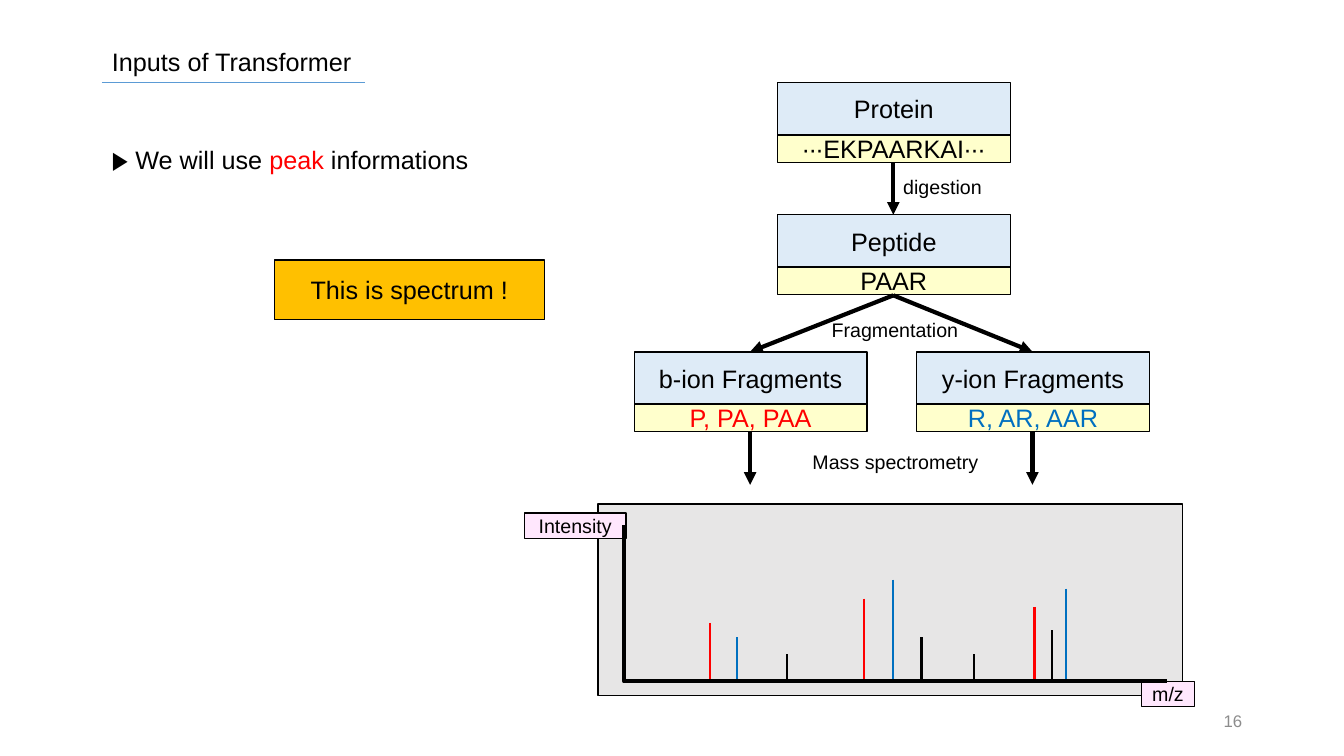
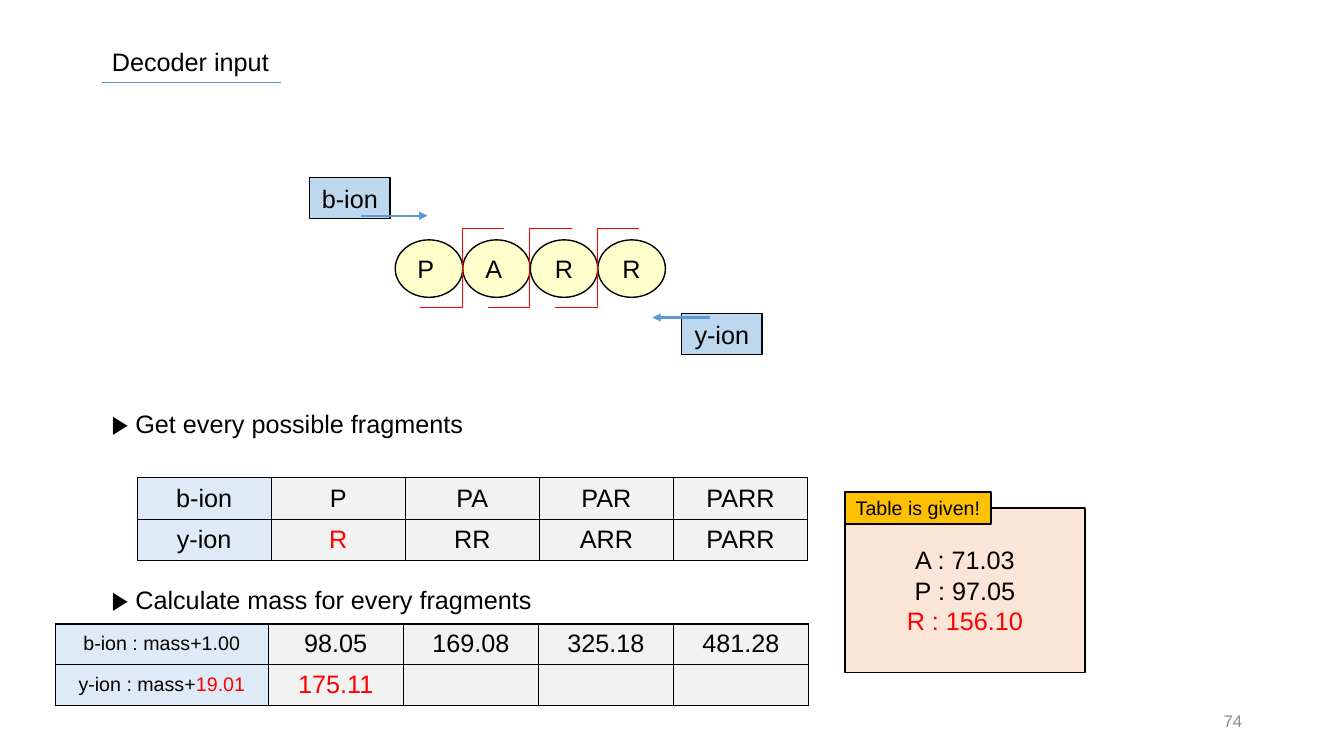
from dataclasses import dataclass

from lxml import etree
from pptx import Presentation
from pptx.dml.color import RGBColor
from pptx.enum.shapes import MSO_CONNECTOR, MSO_SHAPE
from pptx.enum.text import MSO_ANCHOR, MSO_AUTO_SIZE, PP_ALIGN
from pptx.oxml.ns import qn
from pptx.util import Pt

RECTANGLE, OVAL = MSO_SHAPE.RECTANGLE, MSO_SHAPE.OVAL
STRAIGHT, ELBOW = MSO_CONNECTOR.STRAIGHT, MSO_CONNECTOR.ELBOW
TOP, MIDDLE = MSO_ANCHOR.TOP, MSO_ANCHOR.MIDDLE
LEFT, CENTER, RIGHT = PP_ALIGN.LEFT, PP_ALIGN.CENTER, PP_ALIGN.RIGHT
NO_AUTOFIT = MSO_AUTO_SIZE.NONE
EMU_PER_PX = 9144


@dataclass(frozen=True)
class Theme:
    font: str = "Arial"
    body: int = 18
    label: int = 14
    footer: int = 12
    ink: str = "000000"
    red: str = "FF0000"
    blue: str = "0070C0"
    accent: str = "5B9BD5"
    muted: str = "8C8C8C"
    pale_blue: str = "DEEBF7"
    sky: str = "BDD7EE"
    cream: str = "FFFFCC"
    pink: str = "FFE7FD"
    amber: str = "FFC000"
    peach: str = "FBE5D6"
    plot: str = "E7E6E6"
    cell: str = "F2F2F2"


THEME = Theme()


def px(*lengths):
    return [length * EMU_PER_PX for length in lengths]


def apply_format(target, values):
    for name, value in values.items():
        setattr(target, name, value)


def rgb(color):
    return RGBColor.from_string(color)


class Deck:
    def __init__(self, theme):
        self.theme = theme
        self.presentation = Presentation()
        width, height = px(1333, 750)
        apply_format(self.presentation, {"slide_width": width, "slide_height": height})
        self.slide = None

    def new_slide(self, title, rule_end, number):
        layout = self.presentation.slide_layouts[5]
        self.slide = self.presentation.slides.add_slide(layout)
        shape = self.slide.shapes.title
        left, top, width, height = px(101, 41, 569, 40)
        apply_format(shape, {"left": left, "top": top, "width": width, "height": height})
        self.set_text(shape.text_frame, title, align=LEFT, anchor=TOP)
        self.line((101, 82), (rule_end, 82), self.theme.accent, 0.5)
        self.text((942, 695, 300, 40), str(number), self.theme.footer,
                  self.theme.muted, RIGHT, MIDDLE)

    def set_text(self, frame, content, size=None, color=None, align=CENTER, anchor=MIDDLE):
        apply_format(frame, {"word_wrap": True, "auto_size": NO_AUTOFIT,
                             "vertical_anchor": anchor})
        self.fill_paragraphs(frame, content, size, color, align)

    def fill_paragraphs(self, frame, content, size=None, color=None, align=CENTER):
        paragraphs = [[(content, color)]] if isinstance(content, str) else content
        for index, runs in enumerate(paragraphs):
            paragraph = frame.add_paragraph() if index else frame.paragraphs[0]
            paragraph.alignment = align
            for text, run_color in runs:
                run = paragraph.add_run()
                run.text = text
                apply_format(run.font, {"name": self.theme.font,
                                        "size": Pt(size or self.theme.body)})
                run.font.color.rgb = rgb(run_color or self.theme.ink)

    def text(self, box, content, size=None, color=None, align=LEFT, anchor=TOP):
        shape = self.slide.shapes.add_textbox(*px(*box))
        self.set_text(shape.text_frame, content, size, color, align, anchor)

    def box(self, box, fill, content="", size=None, color=None, kind=RECTANGLE):
        shape = self.slide.shapes.add_shape(kind, *px(*box))
        shape.shadow.inherit = False
        shape.fill.solid()
        shape.fill.fore_color.rgb = rgb(fill)
        shape.line.color.rgb = rgb(self.theme.ink)
        shape.line.width = Pt(1)
        if content:
            self.set_text(shape.text_frame, content, size, color)

    def card(self, left, top, heading, sequence, color=None):
        self.box((left, top, 231, 52), self.theme.pale_blue, heading)
        self.box((left, top + 52, 231, 27), self.theme.cream, sequence, color=color)

    def line(self, start, end, color, weight, arrow=False, kind=STRAIGHT, bend=None):
        connector = self.slide.shapes.add_connector(kind, *px(*start, *end))
        connector.line.color.rgb = rgb(color)
        connector.line.width = Pt(weight)
        properties = connector.element.spPr
        if arrow:
            etree.SubElement(properties.find(qn("a:ln")), qn("a:tailEnd"), type="triangle")
        if bend is not None:
            guides = properties.find(qn("a:prstGeom")).find(qn("a:avLst"))
            etree.SubElement(guides, qn("a:gd"), name="adj1", fmla=f"val {bend}")
        etree.SubElement(properties, qn("a:effectLst"))

    def table(self, left, top, column_widths, row_height, rows, head_size=None):
        frame = self.slide.shapes.add_table(
            len(rows), len(column_widths),
            *px(left, top, sum(column_widths), row_height * len(rows)))
        table = frame.table
        apply_format(table, {"first_row": False, "horz_banding": False})
        for column, width in zip(table.columns, px(*column_widths)):
            column.width = width
        for row, contents in zip(table.rows, rows):
            row.height = row_height * EMU_PER_PX
            for index, (cell, content) in enumerate(zip(row.cells, contents)):
                self.style_cell(cell, self.theme.cell if index else self.theme.pale_blue)
                if content:
                    self.fill_paragraphs(cell.text_frame, content,
                                         None if index else head_size)

    def style_cell(self, cell, fill):
        cell.vertical_anchor = MIDDLE
        properties = cell._tc.get_or_add_tcPr()
        for side in ("a:lnL", "a:lnR", "a:lnT", "a:lnB"):
            border = etree.SubElement(properties, qn(side), w=str(Pt(1)))
            solid = etree.SubElement(border, qn("a:solidFill"))
            etree.SubElement(solid, qn("a:srgbClr"), val=self.theme.ink)
        cell.fill.solid()
        cell.fill.fore_color.rgb = rgb(fill)


def build_transformer_inputs(deck):
    theme = deck.theme
    deck.new_slide("Inputs of Transformer", 362, 16)
    deck.text((101, 138, 583, 40), [[("▶ We will use ", None), ("peak ", theme.red),
                                     ("informations", None)]])
    deck.card(771, 82, "Protein", "∙∙∙EKPAARKAI∙∙∙")
    deck.card(771, 213, "Peptide", "PAAR")
    deck.card(629, 349, "b-ion Fragments", "P, PA, PAA", theme.red)
    deck.card(909, 349, "y-ion Fragments", "R, AR, AAR", theme.blue)

    arrows = [((886, 161), (886, 213))]
    for center in (744, 1024):
        arrows += [((886, 293), (center, 349)), ((center, 429), (center, 481))]
    for start, end in arrows:
        deck.line(start, end, theme.ink, 3, arrow=True)
    for left, top, step in ((886, 169, "digestion"), (815, 311, "Fragmentation"),
                            (796, 441, "Mass spectrometry")):
        deck.text((left, top, 300, 34), step, theme.label)

    baseline = 676
    deck.box((593, 500, 580, 190), theme.plot)
    deck.box((520, 509, 101, 25), theme.pink, "Intensity", theme.label)
    deck.box((1132, baseline, 53, 25), theme.pink, "m/z", theme.label)
    peaks = {
        theme.red: ((704, 618), (857, 594), (1026, 602)),
        theme.blue: ((731, 632), (886, 575), (1057, 584)),
        theme.ink: ((781, 649), (914, 632), (966, 649), (1043, 625)),
    }
    for color, positions in peaks.items():
        for left, top in positions:
            deck.line((left, top), (left, baseline), color, 1.5)
    deck.line((619, 521), (1157, baseline), theme.ink, 3, kind=ELBOW, bend=0)
    deck.box((272, 258, 268, 59), theme.amber, "This is spectrum !")


def build_decoder_input(deck):
    theme = deck.theme
    deck.new_slide("Decoder input", 279, 74)
    deck.box((676, 311, 80, 41), theme.sky, "y-ion")
    deck.box((307, 176, 80, 41), theme.sky, "b-ion")
    residue_left, residue_width = 392, 67
    residues = ("P ", "A ", "R", "R")
    for index, residue in enumerate(residues):
        left = residue_left + index * residue_width
        deck.box((left, 238, residue_width, 57), theme.cream, residue, kind=OVAL)
    for index in range(1, len(residues)):
        cut = residue_left + index * residue_width
        deck.line((cut + 41, 227), (cut - 42, 305), theme.red, 0.5, kind=ELBOW)
    deck.line((358, 214), (424, 214), theme.accent, 1.5, arrow=True)
    deck.line((704, 315), (647, 315), theme.accent, 1.5, arrow=True)

    deck.text((101, 400, 1142, 40), "▶ Get every possible fragments")
    deck.table(136, 474, [133] * 5, 41, [
        ["b-ion", "P", "PA", "PAR", "PARR"],
        ["y-ion", [[("R", theme.red)]], "RR", "ARR", "PARR"],
    ])
    deck.text((101, 575, 1142, 40), "▶ Calculate mass for every fragments")
    deck.table(55, 619, [211] + [134] * 4, 40, [
        ["b-ion : mass+1.00", "98.05", "169.08", "325.18", "481.28"],
        [[[("y-ion : mass+", None), ("19.01", theme.red)]],
         [[("175.11", theme.red)]], "", "", ""],
    ], theme.label)

    deck.box((838, 504, 238, 163), theme.peach, [
        [("A : 71.03", None)], [("P : 97.05", None)], [("R : 156.10", theme.red)]])
    deck.box((838, 488, 145, 32), theme.amber, "Table is given!", theme.label)


def main():
    deck = Deck(THEME)
    build_transformer_inputs(deck)
    build_decoder_input(deck)
    deck.presentation.save("out.pptx")


if __name__ == "__main__":
    main()
